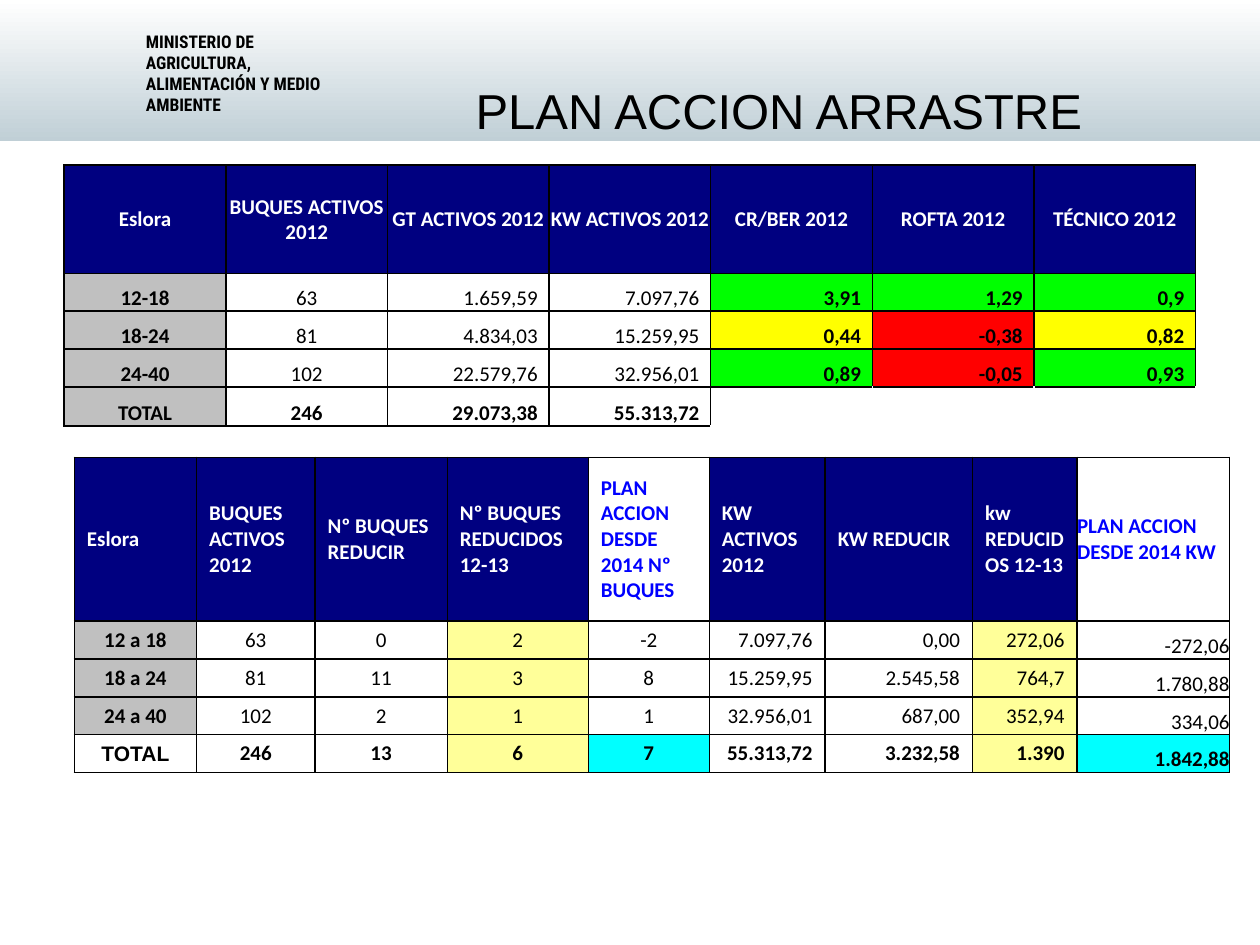
import pptx
import pptx.dml.color
import pptx.enum.shapes
import pptx.enum.text
import pptx.oxml
import pptx.oxml.ns
import pptx.util

Inches = pptx.util.Inches
ALIGN = pptx.enum.text.PP_ALIGN
ANCHOR = pptx.enum.text.MSO_ANCHOR

NAVY, GREY, WHITE, BLACK, BLUE = "000080", "C0C0C0", "FFFFFF", "000000", "0000FF"
GREEN, YELLOW, RED = "00FF00", "FFFF00", "FF0000"
CREAM, CYAN = "FFFF99", "00FFFF"

STATUS_ROWS = [
    ["Eslora", "BUQUES ACTIVOS 2012", "GT ACTIVOS 2012", "KW ACTIVOS 2012",
     "CR/BER 2012", "ROFTA 2012", "TÉCNICO 2012"],
    ["12-18", "63", "1.659,59", "7.097,76", "3,91", "1,29", "0,9"],
    ["18-24", "81", "4.834,03", "15.259,95", "0,44", "-0,38", "0,82"],
    ["24-40", "102", "22.579,76", "32.956,01", "0,89", "-0,05", "0,93"],
    ["TOTAL", "246", "29.073,38", "55.313,72", "", "", ""],
]
STATUS_LIGHTS = [[GREEN, GREEN, GREEN], [YELLOW, RED, YELLOW], [GREEN, RED, GREEN]]

PLAN_ROWS = [
    ["Eslora", "BUQUES ACTIVOS 2012", "Nº BUQUES REDUCIR", "Nº BUQUES REDUCIDOS 12-13",
     "PLAN ACCION DESDE 2014 Nº BUQUES", "KW ACTIVOS 2012", "KW REDUCIR",
     "kw REDUCIDOS 12-13", "PLAN ACCION DESDE 2014 KW"],
    ["12 a 18", "63", "0", "2", "-2", "7.097,76", "0,00", "272,06", "-272,06"],
    ["18 a 24", "81", "11", "3", "8", "15.259,95", "2.545,58", "764,7", "1.780,88"],
    ["24 a 40", "102", "2", "1", "1", "32.956,01", "687,00", "352,94", "334,06"],
    ["TOTAL", "246", "13", "6", "7", "55.313,72", "3.232,58", "1.390", "1.842,88"],
]
PLAN_WIDTHS = [0.97, 0.94, 1.05, 1.12, 0.96, 0.92, 1.17, 0.83, 1.21]
PLAN_COLS, REDUCED_COLS = (4, 8), (3, 7)


def rgb(value):
    return pptx.dml.color.RGBColor.from_string(value)


def add_run(p, text, size, font, color=BLACK, bold=False):
    r = p.add_run()
    r.text = text
    r.font.size = pptx.util.Pt(size)
    r.font.name = font
    r.font.bold = bold
    r.font.color.rgb = rgb(color)


def set_margins(target, left, top, right, bottom):
    target.margin_left, target.margin_top = Inches(left), Inches(top)
    target.margin_right, target.margin_bottom = Inches(right), Inches(bottom)


def add_text(slide, x, y, w, h, margins, anchor, align, *run):
    sp = slide.shapes.add_textbox(Inches(x), Inches(y), Inches(w), Inches(h))
    tf = sp.text_frame
    tf.word_wrap = True
    tf.vertical_anchor = anchor
    set_margins(tf, *margins)
    p = tf.paragraphs[0]
    p.alignment = align
    add_run(p, *run)


def set_borders(cell, sides):
    tc_pr = cell._tc.get_or_add_tcPr()
    for side in sides:
        tc_pr.append(pptx.oxml.parse_xml(
            f'<a:ln{side} {pptx.oxml.ns.nsdecls("a")} w="12700"><a:solidFill>'
            f'<a:srgbClr val="{BLACK}"/></a:solidFill></a:ln{side}>'))


def add_grid(slide, x, y, widths, heights):
    frame = slide.shapes.add_table(len(heights), len(widths), Inches(x), Inches(y),
                                   Inches(sum(widths)), Inches(sum(heights)))
    table = frame.table
    table.first_row = table.horz_banding = False
    for column, width in zip(table.columns, widths):
        column.width = Inches(width)
    for row, height in zip(table.rows, heights):
        row.height = Inches(height)
    return table


def fill_cell(cell, text, margins, anchor, align, fill=None, color=BLACK,
              bold=False, font="Calibri", sides="LRTB"):
    set_borders(cell, sides)
    if fill:
        cell.fill.solid()
        cell.fill.fore_color.rgb = rgb(fill)
    else:
        cell.fill.background()
    set_margins(cell, *margins)
    cell.vertical_anchor = anchor
    p = cell.text_frame.paragraphs[0]
    p.alignment = align
    add_run(p, text, 12, font, color, bold)


def add_header(slide, x, y, w, h):
    # Shaded band
    band = slide.shapes.add_shape(pptx.enum.shapes.MSO_SHAPE.RECTANGLE,
                                  Inches(x), Inches(y), Inches(w), Inches(h))
    band.shadow.inherit = False
    band.line.fill.background()
    band.fill.gradient()
    band.fill.gradient_angle = 270
    for stop, color in zip(band.fill.gradient_stops, (WHITE, "C0CFD6")):
        stop.color.rgb = rgb(color)
    # Ministry name and slide title
    add_text(slide, x + 1.06, y + 0.2, 1.6, 0.7, (0.1, 0.05, 0.1, 0.05), ANCHOR.TOP,
             ALIGN.LEFT, "MINISTERIO DE AGRICULTURA, ALIMENTACIÓN Y MEDIO AMBIENTE",
             10, "Roboto Condensed", BLACK, True)
    add_text(slide, x, y + 0.26, 8.79, 1.01, (3.57, 0.22, 0, 0), ANCHOR.MIDDLE,
             ALIGN.CENTER, "PLAN ACCION ARRASTRE", 28, "Arial")


def add_status_table(slide, x, y, w):
    cols = len(STATUS_ROWS[0])
    table = add_grid(slide, x, y, [w / cols] * cols, [0.86] + [0.3] * 4)
    last = len(STATUS_ROWS) - 1
    for i, row in enumerate(STATUS_ROWS):
        for j, text in enumerate(row):
            cell = table.cell(i, j)
            if i == 0:
                fill_cell(cell, text, (0, 0.01, 0, 0), ANCHOR.MIDDLE, ALIGN.CENTER,
                          NAVY, WHITE, True)
                continue
            light = j > 3 and i < last
            fill = STATUS_LIGHTS[i - 1][j - 4] if light else GREY if j == 0 else None
            sides = "LRTB" if text else "LT" if j == 4 else "T"
            fill_cell(cell, text, (0.01, 0.01, 0.09 if j > 1 else 0.01, 0),
                      ANCHOR.BOTTOM, ALIGN.RIGHT if j > 1 else ALIGN.CENTER, fill,
                      bold=j == 0 or light or i == last, sides=sides)


def add_plan_table(slide, x, y):
    table = add_grid(slide, x, y, PLAN_WIDTHS, [1.3] + [0.3] * 4)
    last = len(PLAN_ROWS) - 1
    for i, row in enumerate(PLAN_ROWS):
        for j, text in enumerate(row):
            cell = table.cell(i, j)
            margins = (0, 0, 0, 0) if j == 8 else (0.1, 0.05, 0.1, 0.05)
            if i == 0:
                fill, color = (None, BLUE) if j in PLAN_COLS else (NAVY, WHITE)
                fill_cell(cell, text, margins, ANCHOR.MIDDLE, ALIGN.LEFT,
                          fill, color, True)
                continue
            fill = None
            if j in REDUCED_COLS:
                fill = CREAM
            elif j == 0 and i < last:
                fill = GREY
            elif j in PLAN_COLS and i == last:
                fill = CYAN
            fill_cell(cell, text, margins, ANCHOR.BOTTOM,
                      ALIGN.RIGHT if j > 4 else ALIGN.CENTER, fill,
                      bold=j == 0 or i == last,
                      font="Arial" if j == 0 and i == last else "Calibri")


def main():
    prs = pptx.Presentation()
    prs.slide_width, prs.slide_height = Inches(10), Inches(7.5)
    slide = prs.slides.add_slide(prs.slide_layouts[6])
    add_header(slide, 0, 0, 10, 1.12)
    add_plan_table(slide, 0.59, 3.63)
    add_status_table(slide, 0.51, 1.31, 8.98)
    prs.save("out.pptx")


if __name__ == "__main__":
    main()
